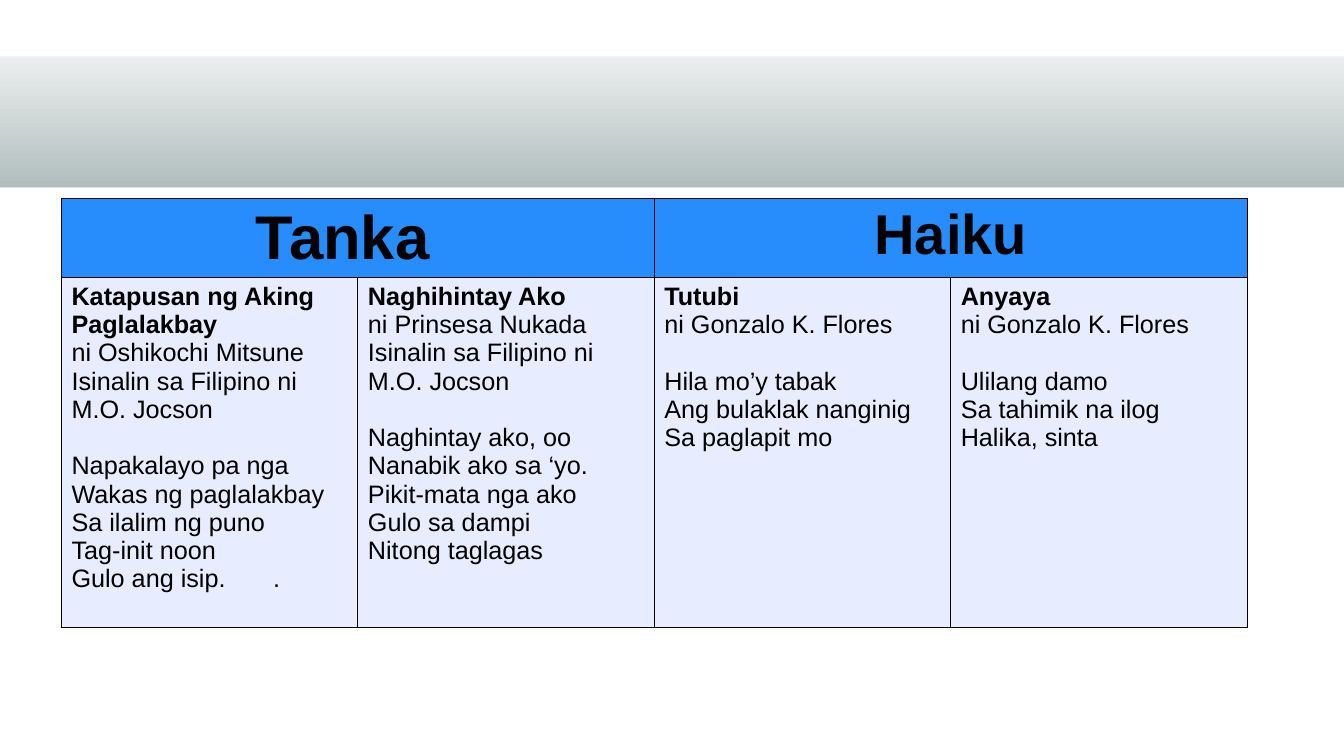
from lxml import etree
from pptx import Presentation
from pptx.dml.color import RGBColor
from pptx.enum import shapes, text
from pptx.oxml import ns
from pptx.util import Inches, Pt

# Each group: heading, type size, right cell margin
GROUPS = [("Tanka", 44, 0.4), ("Haiku", 40, 0.1)]
# Each poem: title, credits, verses
POEMS = [
    ("Katapusan ng Aking Paglalakbay",
     ["ni Oshikochi Mitsune", "Isinalin sa Filipino ni M.O. Jocson"],
     ["Napakalayo pa nga", "Wakas ng paglalakbay", "Sa ilalim ng puno",
      "Tag-init noon", "Gulo ang isip. \t."]),
    ("Naghihintay Ako",
     ["ni Prinsesa Nukada", "Isinalin sa Filipino ni M.O. Jocson"],
     ["Naghintay ako, oo", "Nanabik ako sa ‘yo.", "Pikit-mata nga ako",
      "Gulo sa dampi", "Nitong taglagas"]),
    ("Tutubi", ["ni Gonzalo K. Flores"],
     ["Hila mo’y tabak", "Ang bulaklak nanginig", "Sa paglapit mo"]),
    ("Anyaya", ["ni Gonzalo K. Flores"],
     ["Ulilang damo", "Sa tahimik na ilog", "Halika, sinta"]),
]
THEME = dict(font="Arial", ink="000000", white="FFFFFF", head="288DFC", body="E7EDFE",
             band=("EEF1F1", "B0BCBC"), size=18, line_gap=20.2)
COL_W, ROW_H = 2.94, (0.78, 3.47)


def rgb(name):
    return RGBColor.from_string(THEME[name])


def add_band(s, top, height):
    sp = s.shapes.add_shape(shapes.MSO_SHAPE.RECTANGLE, 0, Inches(top),
                            Inches(13.33), Inches(height))
    sp.shadow.inherit = False
    sp.line.fill.background()
    return sp


def write(p, words, size=THEME["size"], bold=False, align=text.PP_ALIGN.LEFT, before=0):
    p.alignment, p.space_before = align, Pt(before)
    r = p.add_run()
    r.text = words
    r.font.name, r.font.size, r.font.bold = THEME["font"], Pt(size), bold
    r.font.color.rgb = rgb("ink")


def style_cell(cell, fill):
    """Give the cell a thin border on all sides and a solid fill."""
    tcPr = cell._tc.get_or_add_tcPr()
    for side in ("lnL", "lnR", "lnT", "lnB"):
        ln = etree.SubElement(tcPr, ns.qn("a:" + side), w=str(Pt(1)))
        color = etree.SubElement(ln, ns.qn("a:solidFill"))
        etree.SubElement(color, ns.qn("a:srgbClr"), val=THEME["ink"])
    cell.fill.solid()
    cell.fill.fore_color.rgb = rgb(fill)


def add_poem_table(s):
    tbl = s.shapes.add_table(2, len(POEMS), Inches(0.61), Inches(1.97),
                             Inches(COL_W * len(POEMS)), Inches(sum(ROW_H))).table
    for col in tbl.columns:
        col.width = Inches(COL_W)
    for row, height, fill in zip(tbl.rows, ROW_H, ("head", "body")):
        row.height = Inches(height)
        for cell in row.cells:
            style_cell(cell, fill)

    for i, (heading, size, margin) in enumerate(GROUPS):
        cell = tbl.cell(0, 2 * i)
        cell.merge(tbl.cell(0, 2 * i + 1))
        cell.margin_right = Inches(margin)
        write(cell.text_frame.paragraphs[0], heading, size=size, bold=True,
              align=text.PP_ALIGN.CENTER)

    for i, (title, credits, verses) in enumerate(POEMS):
        tf = tbl.cell(1, i).text_frame
        write(tf.paragraphs[0], title, bold=True)
        for line in credits:
            write(tf.add_paragraph(), line)
        for n, line in enumerate(verses):
            write(tf.add_paragraph(), line, before=0 if n else THEME["line_gap"])


def main():
    prs = Presentation()
    prs.slide_width, prs.slide_height = Inches(13.33), Inches(7.5)
    s = prs.slides.add_slide(prs.slide_layouts[6])

    banner = add_band(s, 0.5, 1.39)
    banner.fill.gradient()
    banner.fill.gradient_angle = 270
    for stop, color, pos in zip(banner.fill.gradient_stops, THEME["band"], (0, 1)):
        stop.color.rgb, stop.position = RGBColor.from_string(color), pos
    for top in (1.86, 0.5):
        edge = add_band(s, top, 0.06)
        edge.fill.solid()
        edge.fill.fore_color.rgb = rgb("white")

    add_poem_table(s)
    prs.save("out.pptx")


if __name__ == "__main__":
    main()
